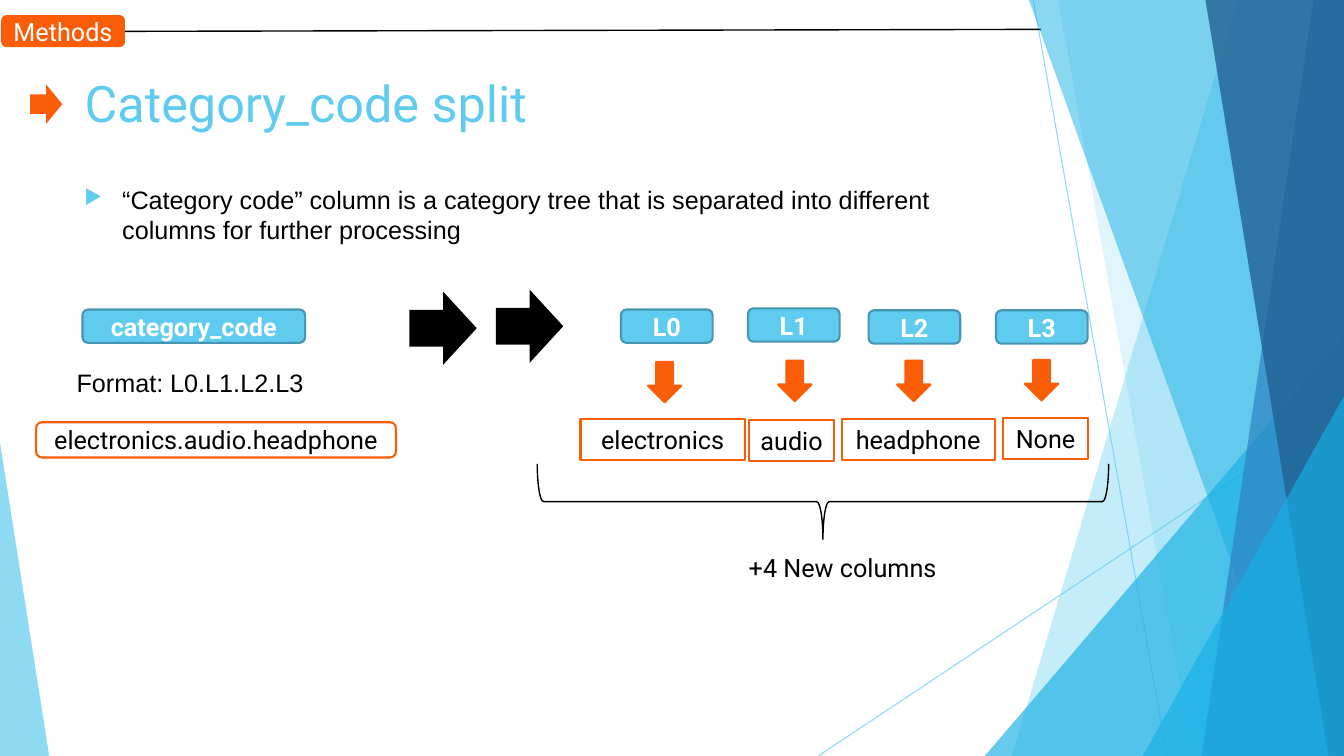
from dataclasses import dataclass

from lxml.etree import SubElement
from pptx import Presentation
from pptx.dml.color import RGBColor
from pptx.enum.shapes import MSO_CONNECTOR as Link, MSO_SHAPE as Shape
from pptx.enum.text import MSO_ANCHOR as Anchor, MSO_AUTO_SIZE as Fit, PP_ALIGN as Align
from pptx.oxml.ns import qn
from pptx.util import Cm, Pt


@dataclass(frozen=True)
class Theme:
    sky: str = "5FCBEF"
    sky_edge: str = "4696B1"
    azure: str = "17B0E4"
    blue: str = "2E83C3"
    navy: str = "226292"
    orange: str = "F95D07"
    black: str = "000000"
    white: str = "FFFFFF"
    heading: str = "Roboto"
    body: str = "Arial"
    title_size: int = 36
    text_size: int = 18
    border: float = 1.5


theme = Theme()
WIDTH, HEIGHT = 33.87, 19.05

deck = Presentation()
deck.slide_width, deck.slide_height = Cm(WIDTH), Cm(HEIGHT)
page = deck.slides.add_slide(deck.slide_layouts[5])


def place(kind, left, top, width, height, fill=None, line=None, weight=theme.border):
    shape = page.shapes.add_shape(kind, Cm(left), Cm(top), Cm(width), Cm(height))
    shape.shadow.inherit = False
    for paint, color in ((shape.fill, fill), (shape.line.fill, line)):
        if color:
            paint.solid()
            paint.fore_color.rgb = RGBColor.from_string(color)
        else:
            paint.background()
    if line:
        shape.line.width = Pt(weight)
    return shape


def write(box, text, color=theme.black, font=theme.heading, size=theme.text_size,
          bold=False, align=Align.CENTER, anchor=Anchor.MIDDLE):
    frame = box.text_frame
    frame.word_wrap = True
    frame.auto_size = Fit.NONE
    frame.vertical_anchor = anchor
    para = frame.paragraphs[0]
    para.alignment = align
    span = para.add_run()
    span.text = text
    span.font.name, span.font.size, span.font.bold = font, Pt(size), bold
    span.font.color.rgb = RGBColor.from_string(color)
    return para


# Thin lines: the two backdrop diagonals and the rule beside the section tag
see_through = []
for x1, y1, x2, y2, color, weight, opacity in (
    (26.04, 0, 29.41, HEIGHT, theme.sky, 0.75, 70),
    (WIDTH, 10.24, 20.62, HEIGHT, theme.sky, 0.75, 70),
    (3.15, 0.79, 26.24, 0.74, theme.black, 1, 100),
):
    rule = page.shapes.add_connector(Link.STRAIGHT, Cm(x1), Cm(y1), Cm(x2), Cm(y2))
    rule.line.color.rgb = RGBColor.from_string(color)
    rule.line.width = Pt(weight)
    SubElement(rule.element.spPr, qn("a:effectLst"))
    see_through.append((rule, opacity))

# Backdrop facets: bands (top x, bottom x) reach the right edge,
# wedges (left, top, width, height, apex) stand on the bottom edge
for facet, color, opacity in (
    ((31.19, 25.5), theme.sky, 36),
    ((26.67, 30.05), theme.sky, 20),
    ((24.82, 8.46, 9.05, 10.59, 1), theme.azure, 66),
    ((25.93, 32.79), theme.azure, 50),
    ((33.1, 30.28), theme.blue, 70),
    ((30.38, 33.48), theme.navy, 80),
    ((28.8, 9.98, 5.07, 9.07, 1), theme.azure, 66),
    ((0, 11.15, 1.24, 7.9, 0), theme.sky, 70),
):
    if len(facet) == 2:
        top_x, bottom_x = facet
        outline = page.shapes.build_freeform(Cm(top_x), Cm(0))
        corners = ((WIDTH, 0), (WIDTH, HEIGHT), (bottom_x, HEIGHT))
        outline.add_line_segments([(Cm(x), Cm(y)) for x, y in corners], close=True)
        shape = outline.convert_to_shape()
        shape.shadow.inherit = False
        shape.fill.solid()
        shape.fill.fore_color.rgb = RGBColor.from_string(color)
        shape.line.fill.background()
    else:
        *bounds, apex = facet
        shape = place(Shape.ISOSCELES_TRIANGLE, *bounds, fill=color)
        shape.adjustments[0] = apex
    see_through.append((shape, opacity))

for shape, opacity in see_through:
    for color in shape.element.spPr.iter(qn("a:srgbClr")):
        SubElement(color, qn("a:alpha"), val=str(opacity * 1000))

# Section tag and title
tag = place(Shape.ROUNDED_RECTANGLE, 0.03, 0.38, 3.12, 0.81, theme.orange)
write(tag, "Methods", theme.white)
place(Shape.RIGHT_ARROW, 0.76, 2.13, 0.81, 0.99, theme.orange)
title = page.shapes.title
title.left, title.top, title.width, title.height = Cm(1.88), Cm(1.7), Cm(23.88), Cm(3.66)
write(title, "Category_code split", theme.sky, size=theme.title_size,
      align=Align.LEFT, anchor=Anchor.TOP)

# Plain texts, the first one with a bullet
for text, left, top, width, height, font, bulleted in (
    ("“Category code” column is a category tree that is separated into different "
     "columns for further processing", 1.88, 4.52, 23.88, 10.77, theme.body, True),
    ("Format: L0.L1.L2.L3", 1.68, 9.12, 8, 1.02, theme.body, False),
    ("+4 New columns", 18.62, 13.79, 5.31, 1.02, theme.heading, False),
):
    box = page.shapes.add_textbox(Cm(left), Cm(top), Cm(width), Cm(height))
    para = write(box, text, font=font, align=Align.LEFT, anchor=Anchor.TOP)
    if bulleted:
        para.space_before = Pt(10)
        props = para._p.get_or_add_pPr()
        props.set("marL", str(Cm(0.95)))
        props.set("indent", str(-Cm(0.95)))
        SubElement(SubElement(props, qn("a:buClr")), qn("a:srgbClr"), val=theme.sky)
        SubElement(props, qn("a:buSzPct"), val="80000")
        SubElement(props, qn("a:buChar"), char="▶")

# Source column with its sample value
source = place(Shape.ROUNDED_RECTANGLE, 2.08, 7.8, 5.61, 0.84, theme.sky, theme.sky_edge)
write(source, "category_code", theme.white, bold=True)
sample = place(Shape.ROUNDED_RECTANGLE, 0.91, 10.64, 9.07, 0.89, line=theme.orange)
write(sample, "electronics.audio.headphone")

# Black arrows towards the new columns
for left, top in ((10.24, 7.42), (12.42, 7.37)):
    place(Shape.DOWN_ARROW, left, top, 1.85, 1.7, theme.black).rotation = 270

# New columns: level tag, arrow and value
for level, tag_at, arrow_at, value, value_at, value_width in (
    ("L0", (15.65, 7.8), (16.33, 9.12), "electronics", (14.63, 10.57), 4.14),
    ("L1", (18.85, 7.77), (19.61, 9.09), "audio", (18.87, 10.59), 2.16),
    ("L2", (21.89, 7.82), (22.61, 9.09), "headphone", (21.21, 10.57), 3.86),
    ("L3", (25.1, 7.82), (25.83, 9.07), "None", (25.27, 10.54), 2.16),
):
    box = place(Shape.ROUNDED_RECTANGLE, *tag_at, 2.31, 0.84, theme.sky, theme.sky_edge)
    write(box, level, theme.white, bold=True)
    place(Shape.DOWN_ARROW, *arrow_at, 0.84, 1.02, theme.orange, theme.orange)
    box = place(Shape.RECTANGLE, *value_at, value_width, 1.02, theme.white, theme.orange)
    write(box, value, anchor=Anchor.TOP)

# Brace below the new columns
brace = place(Shape.LEFT_BRACE, 19.79, 5.44, 1.9, 14.4, line=theme.black, weight=1)
brace.rotation = 270

deck.save("out.pptx")
